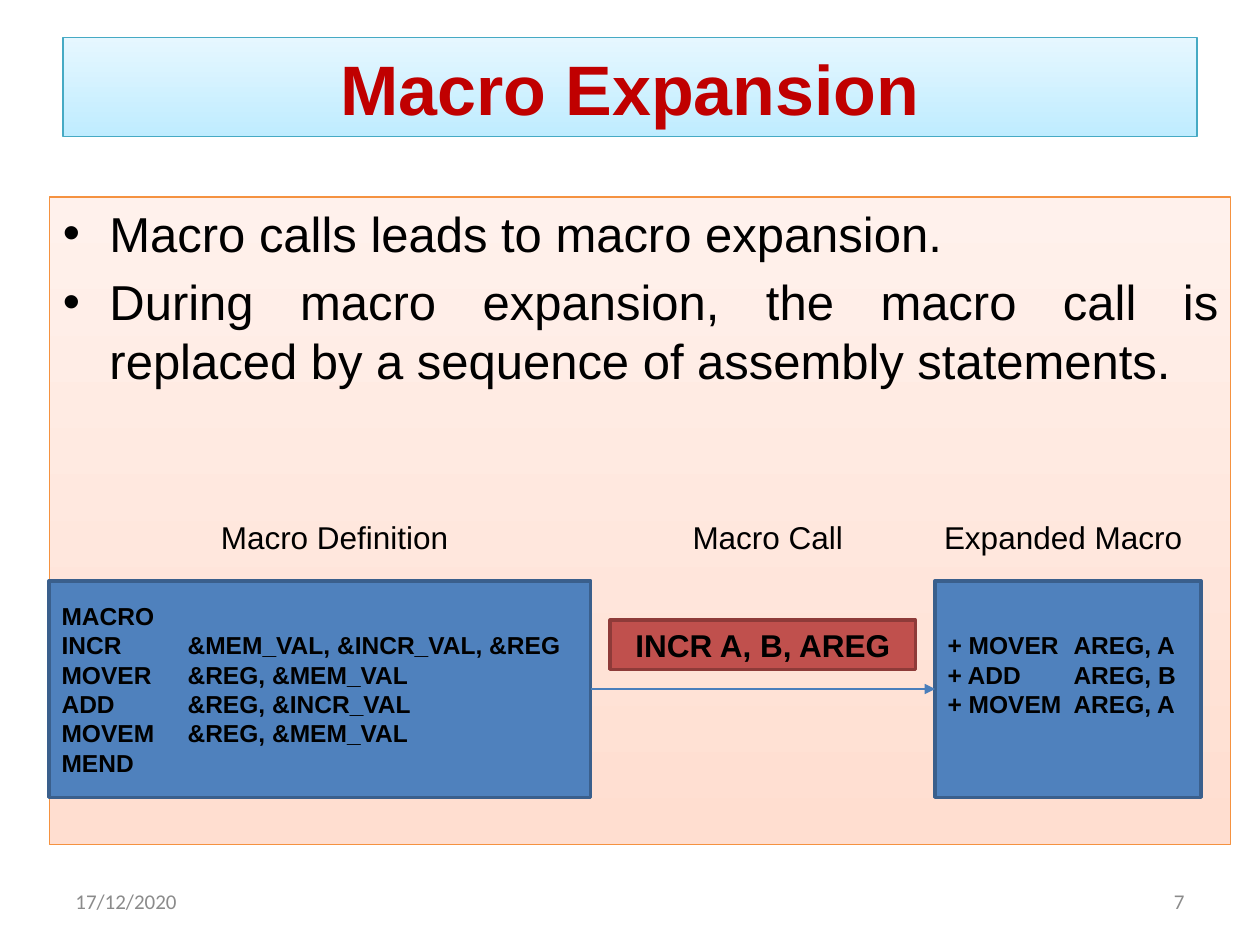
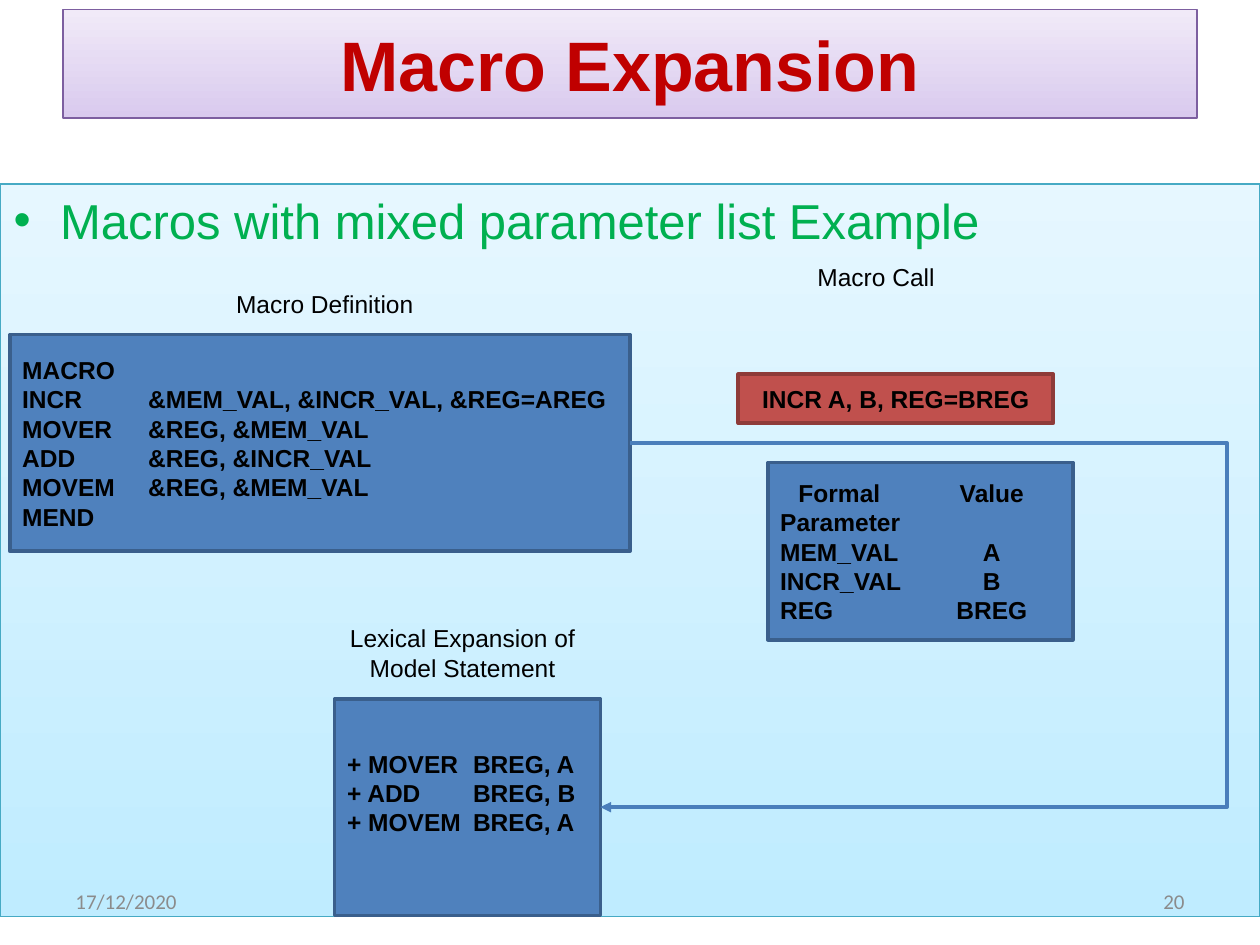
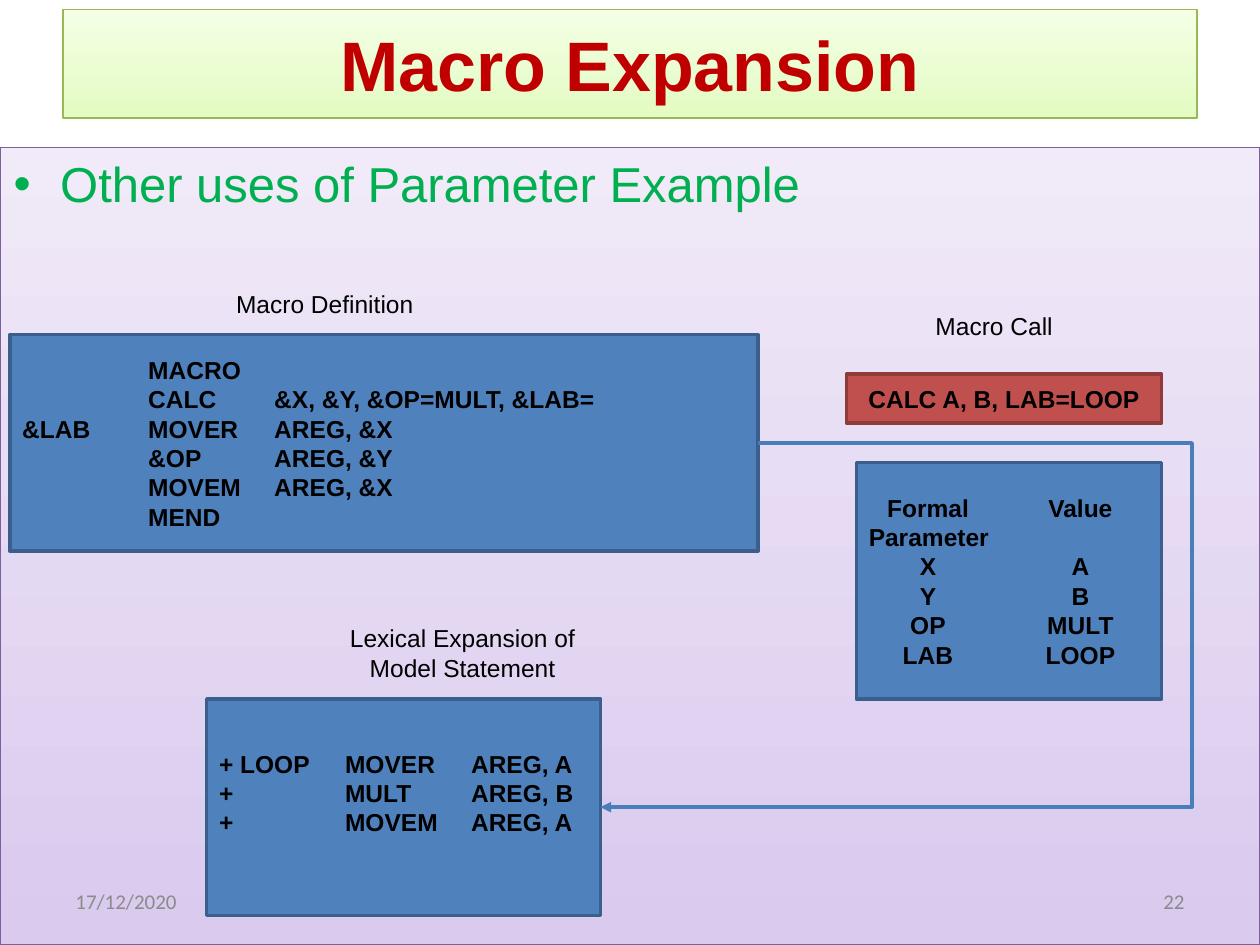
import dataclasses
import typing

import lxml.etree
import pptx
import pptx.dml.color
import pptx.enum.dml
import pptx.enum.shapes
import pptx.enum.text
import pptx.oxml.ns
import pptx.shapes.autoshape
import pptx.shapes.connector
import pptx.slide
import pptx.util

ALIGN = pptx.enum.text.PP_ALIGN
ANCHOR = pptx.enum.text.MSO_ANCHOR
KIND = pptx.enum.shapes.MSO_CONNECTOR
Lines = typing.Tuple[str, ...]


class Band(typing.NamedTuple):
    """Colours of a gradient panel."""
    top: str
    bottom: str
    line: str


class Look(typing.NamedTuple):
    """Colours and type size of a flat box."""
    fill: str
    line: str


class Cell(typing.NamedTuple):
    """Place on the grid, in columns and rows."""
    col: float
    row: float
    cols: float
    rows: float


class Label(typing.NamedTuple):
    """Caption and its top left corner on the grid."""
    text: str
    col: float
    row: float
    rows: float


class Tab(typing.NamedTuple):
    """Tab stop in inches with its alignment."""
    inches: float
    align: str


@dataclasses.dataclass(frozen=True)
class Theme:
    """Colours, type sizes and measures shared by the slides."""
    cols: int = 128
    rows: int = 96
    blue: Band = Band("E6F7FF", "BFECFF", "46AAC4")
    orange: Band = Band("FFF1EC", "FFDED0", "F59240")
    purple: Band = Band("F1EAF8", "D9CAEE", "7D5FA0")
    green: Band = Band("F4FFE6", "E3FBC2", "98B855")
    code: Look = Look("4F81BD", "3A5F8C")
    call: Look = Look("C0504D", "8E3B39")
    arrow: str = "4A7EBB"
    ink: str = "000000"
    heading: str = "C00000"
    accent: str = "00B050"
    muted: str = "8B8B8B"
    font: str = "Arial"
    footer_font: str = "Calibri"
    title_size: int = 40
    body_size: int = 28
    large_size: int = 18
    code_size: int = 14
    footer_size: int = 12
    thin: float = 0.75
    thick: float = 2


@dataclasses.dataclass(frozen=True)
class Page:
    """Everything that differs from slide to slide."""
    number: str
    title_at: Cell
    title_band: Band
    body_at: Cell
    body_band: Band
    bullets: Lines
    bullet_color: str
    definition_at: Cell
    definition: Lines
    expansion_at: Cell
    expansion: Lines
    call_at: Cell
    call: str
    labels: typing.Tuple[Label, ...]
    label_size: int
    values_at: typing.Optional[Cell] = None
    values: Lines = ()
    turn_col: float = 0


T = Theme()
CODE_TABS = (Tab(1, "l"), Tab(2, "l"))
VALUE_TABS = (Tab(0.47, "ctr"), Tab(1.68, "ctr"))
prs = pptx.Presentation()
prs.slide_width = pptx.util.Inches(10)
prs.slide_height = pptx.util.Inches(7.5)


def x(col: float) -> int:
    """Turn columns into a length."""
    return round(prs.slide_width * col / T.cols)


def y(row: float) -> int:
    """Turn rows into a length."""
    return round(prs.slide_height * row / T.rows)


def place(at: Cell) -> typing.Tuple[int, int, int, int]:
    """Turn a cell into left, top, width and height."""
    return x(at.col), y(at.row), x(at.cols), y(at.rows)


def rgb(value: str) -> pptx.dml.color.RGBColor:
    """Read a colour."""
    return pptx.dml.color.RGBColor.from_string(value)


def assign(target: typing.Any, values: typing.Dict[str, typing.Any]) -> None:
    """Set attributes from a dict."""
    for name, value in values.items():
        setattr(target, name, value)


def sub(parent: typing.Any, tag: str, **attrs: str) -> typing.Any:
    """Append a drawing element."""
    return lxml.etree.SubElement(parent, pptx.oxml.ns.qn(tag), attrs)


def add_tabs(p: typing.Any, tabs: typing.Sequence[Tab]) -> None:
    """Add tab stops to a paragraph."""
    tab_list = sub(p._p.get_or_add_pPr(), "a:tabLst")
    for tab in tabs:
        sub(tab_list, "a:tab", pos=str(pptx.util.Inches(tab.inches)), algn=tab.align)


def add_bullet(p: typing.Any) -> None:
    """Add a hanging bullet to a paragraph."""
    pPr = p._p.get_or_add_pPr()
    pPr.set("marL", str(pptx.util.Inches(0.38)))
    pPr.set("indent", str(pptx.util.Inches(-0.37)))
    sub(pPr, "a:buFont", typeface=T.font)
    sub(pPr, "a:buChar", char="•")


def write(sp: typing.Any, lines: Lines, size: int, color: str, bold: bool = False,
          font: str = T.font, align: typing.Any = ALIGN.LEFT,
          anchor: typing.Any = ANCHOR.MIDDLE, bullets: bool = False,
          tabs: typing.Sequence[Tab] = (), bottom: float = 0.05) -> None:
    """Fill a shape with lines of text."""
    tf = sp.text_frame
    inches = pptx.util.Inches
    assign(tf, {"word_wrap": True, "vertical_anchor": anchor,
                "margin_left": inches(0.1), "margin_right": inches(0.1),
                "margin_top": inches(0.05), "margin_bottom": inches(bottom)})
    for i, line in enumerate(lines):
        p = tf.add_paragraph() if i else tf.paragraphs[0]
        p.alignment = align
        if bullets:
            if i:
                p.space_before = pptx.util.Pt(5.6)
            add_bullet(p)
        if tabs:
            centred_row = tabs[0].align == "l" or line.startswith("\t")
            add_tabs(p, tabs if centred_row else tabs[1:])
        r = p.add_run()
        r.text = line
        assign(r.font, {"name": font, "size": pptx.util.Pt(size), "bold": bold})
        r.font.color.rgb = rgb(color)


def add_rect(s: pptx.slide.Slide, at: Cell, line: str,
             width: float) -> pptx.shapes.autoshape.Shape:
    """Draw a rectangle with an outline and no shadow."""
    sp = s.shapes.add_shape(pptx.enum.shapes.MSO_SHAPE.RECTANGLE, *place(at))
    sp.shadow.inherit = False
    sp.line.color.rgb = rgb(line)
    sp.line.width = pptx.util.Pt(width)
    return sp


def add_band(s: pptx.slide.Slide, at: Cell, band: Band) -> pptx.shapes.autoshape.Shape:
    """Draw a gradient panel."""
    sp = add_rect(s, at, band.line, T.thin)
    sp.fill.gradient()
    sp.fill.gradient_angle = 90
    for stop, color in zip(sp.fill.gradient_stops, (band.bottom, band.top)):
        stop.color.rgb = rgb(color)
    return sp


def add_box(s: pptx.slide.Slide, at: Cell, look: Look, lines: Lines, size: int,
            **text: typing.Any) -> pptx.shapes.autoshape.Shape:
    """Draw a flat box with bold text."""
    sp = add_rect(s, at, look.line, T.thick)
    sp.fill.solid()
    sp.fill.fore_color.rgb = rgb(look.fill)
    write(sp, lines, size, T.ink, bold=True, **text)
    return sp


def add_text(s: pptx.slide.Slide, at: Cell, text: str, size: int, color: str,
             **style: typing.Any) -> None:
    """Add a text box."""
    write(s.shapes.add_textbox(*place(at)), (text,), size, color, **style)


def finish_arrow(cx: pptx.shapes.connector.Connector, width: float) -> None:
    """Give a connector its colour, width and arrowhead."""
    cx.line.color.rgb = rgb(T.arrow)
    cx.line.width = pptx.util.Pt(width)
    sub(cx.line._get_or_add_ln(), "a:tailEnd", type="triangle")
    sub(cx._element.spPr, "a:effectLst")


def add_straight(s: pptx.slide.Slide, start: typing.Any, end: typing.Any) -> None:
    """Join the right side of one box to the left side of another."""
    cx = s.shapes.add_connector(KIND.STRAIGHT, 0, 0, 0, 0)
    cx.begin_connect(start, 3)
    cx.end_connect(end, 1)
    finish_arrow(cx, T.thin)


def add_loop(s: pptx.slide.Slide, start: typing.Any, end: typing.Any,
             turn_col: float) -> None:
    """Lead from the right side of one box round to that of another."""
    x1, x2 = (sp.left + sp.width for sp in (start, end))
    y1, y2 = (sp.top + sp.height // 2 for sp in (start, end))
    cx = s.shapes.add_connector(KIND.ELBOW, x1, y1, x2, y2)
    share = round(100000 * (x(turn_col) - x1) / (x2 - x1))
    guides = cx._element.spPr.find(".//" + pptx.oxml.ns.qn("a:avLst"))
    sub(guides, "a:gd", name="adj1", fmla=f"val {share}")
    finish_arrow(cx, T.thick)


def add_page(page: Page) -> None:
    """Build one slide."""
    s = prs.slides.add_slide(prs.slide_layouts[6])
    write(add_band(s, page.body_at, page.body_band), page.bullets, T.body_size,
          page.bullet_color, align=ALIGN.JUSTIFY, anchor=ANCHOR.TOP, bullets=True)
    write(add_band(s, page.title_at, page.title_band), ("Macro Expansion",),
          T.title_size, T.heading, bold=True, align=ALIGN.CENTER)
    definition = add_box(s, page.definition_at, T.code, page.definition, T.code_size,
                         tabs=CODE_TABS)
    expansion = add_box(s, page.expansion_at, T.code, page.expansion, T.code_size,
                        tabs=CODE_TABS, bottom=0.28)
    for label in page.labels:
        add_text(s, Cell(label.col, label.row, 28, label.rows), label.text,
                 page.label_size, T.ink, align=ALIGN.CENTER, anchor=ANCHOR.TOP)
    add_box(s, page.call_at, T.call, (page.call,), page.label_size, align=ALIGN.CENTER)
    if page.values_at:
        add_box(s, page.values_at, T.code, page.values, T.code_size, tabs=VALUE_TABS)
        add_loop(s, definition, expansion, page.turn_col)
    else:
        add_straight(s, definition, expansion)
    for col, text, align in ((6.4, "17/12/2020", ALIGN.LEFT),
                             (91.7, page.number, ALIGN.RIGHT)):
        add_text(s, Cell(col, 89, 29.9, 5.1), text, T.footer_size, T.muted,
                 font=T.footer_font, align=align)


def incr_macro(register: str) -> Lines:
    """List the INCR macro with its last parameter."""
    return ("MACRO", f"INCR\t&MEM_VAL, &INCR_VAL, {register}",
            "MOVER\t&REG, &MEM_VAL", "ADD\t&REG, &INCR_VAL",
            "MOVEM\t&REG, &MEM_VAL", "MEND")


def incr_expansion(register: str) -> Lines:
    """List the statements that INCR expands to."""
    return (f"+ MOVER\t{register}, A", f"+ ADD\t{register}, B",
            f"+ MOVEM\t{register}, A")


def example_labels(call_col: float, call_row: float) -> typing.Tuple[Label, ...]:
    """List the captions of an example slide."""
    return (Label("Macro Definition", 19, 28.7, 4.2),
            Label("Macro Call", call_col, call_row, 4.2),
            Label("Lexical Expansion of Model Statement", 33, 62.7, 7.2))


EXAMPLE_TITLE = Cell(6.4, 1, 115.2, 11)
VALUES_HEAD = ("\tFormal\tValue", "Parameter")
PAGES = (
    Page(number="7", title_at=Cell(6.4, 3.8, 115.2, 10.1), title_band=T.blue,
         body_at=Cell(5, 20, 120, 65.8), body_band=T.orange,
         bullets=("Macro calls leads to macro expansion.",
                  "During macro expansion, the macro call is replaced by a sequence "
                  "of assembly statements."),
         bullet_color=T.ink,
         definition_at=Cell(5, 59, 55, 22), definition=incr_macro("&REG"),
         expansion_at=Cell(95, 59, 27, 22), expansion=incr_expansion("AREG"),
         call_at=Cell(62, 63, 31, 5), call="INCR A, B, AREG",
         labels=(Label("Macro Definition", 20, 52, 5.1),
                 Label("Macro Call", 64, 52, 5.1),
                 Label("Expanded Macro", 94, 52, 5.1)),
         label_size=T.large_size),
    Page(number="20", title_at=EXAMPLE_TITLE, title_band=T.purple,
         body_at=Cell(0, 18.7, 128, 74.4), body_band=T.blue,
         bullets=("Macros with mixed parameter list Example",),
         bullet_color=T.accent,
         definition_at=Cell(1, 34, 63, 22), definition=incr_macro("&REG=AREG"),
         expansion_at=Cell(34, 71, 27, 22), expansion=incr_expansion("BREG"),
         call_at=Cell(75, 38, 32, 5), call="INCR A, B, REG=BREG",
         labels=example_labels(75, 26), label_size=T.code_size,
         values_at=Cell(78, 47, 31, 18),
         values=VALUES_HEAD + ("MEM_VAL\tA", "INCR_VAL\tB", "REG\tBREG"),
         turn_col=124.7),
    Page(number="22", title_at=EXAMPLE_TITLE, title_band=T.green,
         body_at=Cell(0, 15, 128, 81), body_band=T.purple,
         bullets=("Other uses of Parameter Example",), bullet_color=T.accent,
         definition_at=Cell(1, 34, 76, 22),
         definition=("\tMACRO", "\tCALC\t&X, &Y, &OP=MULT, &LAB=",
                     "&LAB\tMOVER\tAREG, &X", "\t&OP\tAREG, &Y",
                     "\tMOVEM\tAREG, &X", "\tMEND"),
         expansion_at=Cell(21, 71, 40, 22),
         expansion=("+ LOOP\tMOVER\tAREG, A", "+\tMULT\tAREG, B",
                    "+\tMOVEM\tAREG, A"),
         call_at=Cell(86, 38, 32, 5), call="CALC A, B, LAB=LOOP",
         labels=example_labels(87, 31), label_size=T.code_size,
         values_at=Cell(87, 47, 31, 24),
         values=VALUES_HEAD + ("\tX\tA", "\tY\tB", "\tOP\tMULT", "\tLAB\tLOOP"),
         turn_col=121.1),
)


def main() -> None:
    """Build the slides and save them."""
    for page in PAGES:
        add_page(page)
    prs.save("out.pptx")


if __name__ == "__main__":
    main()
